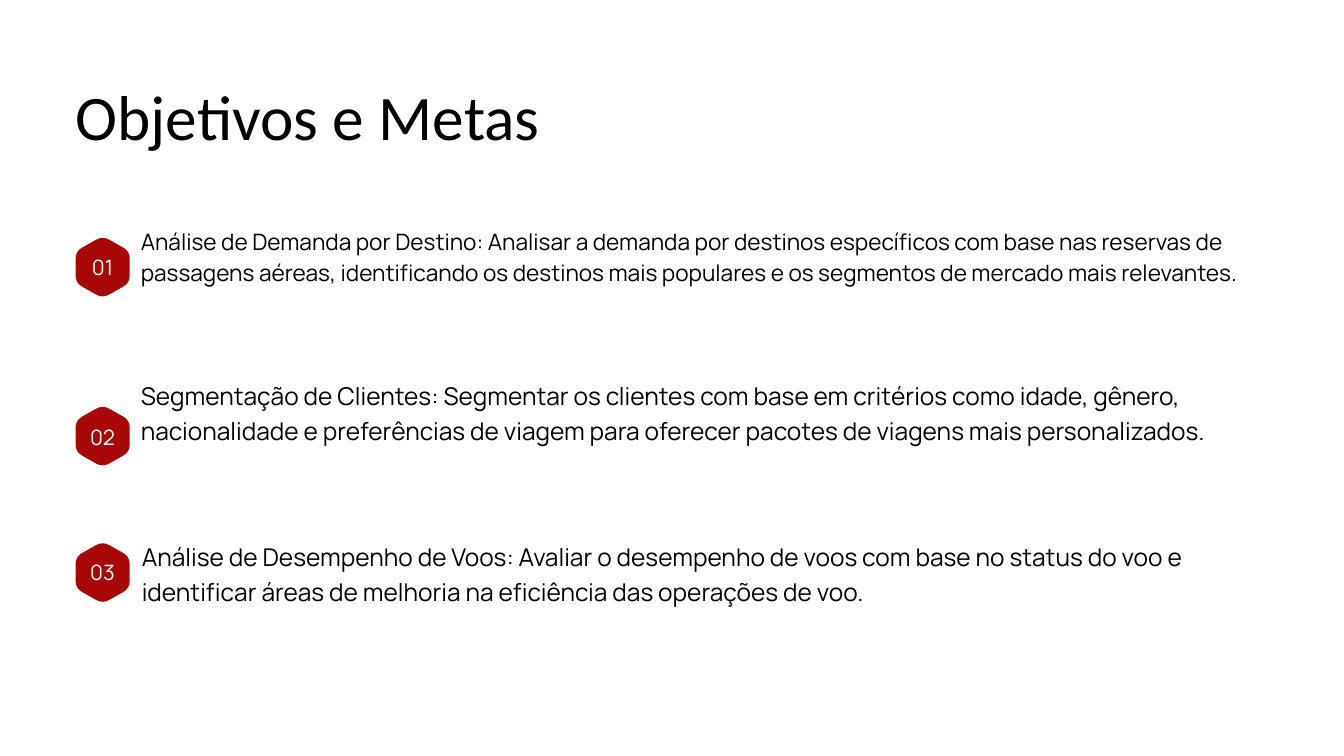
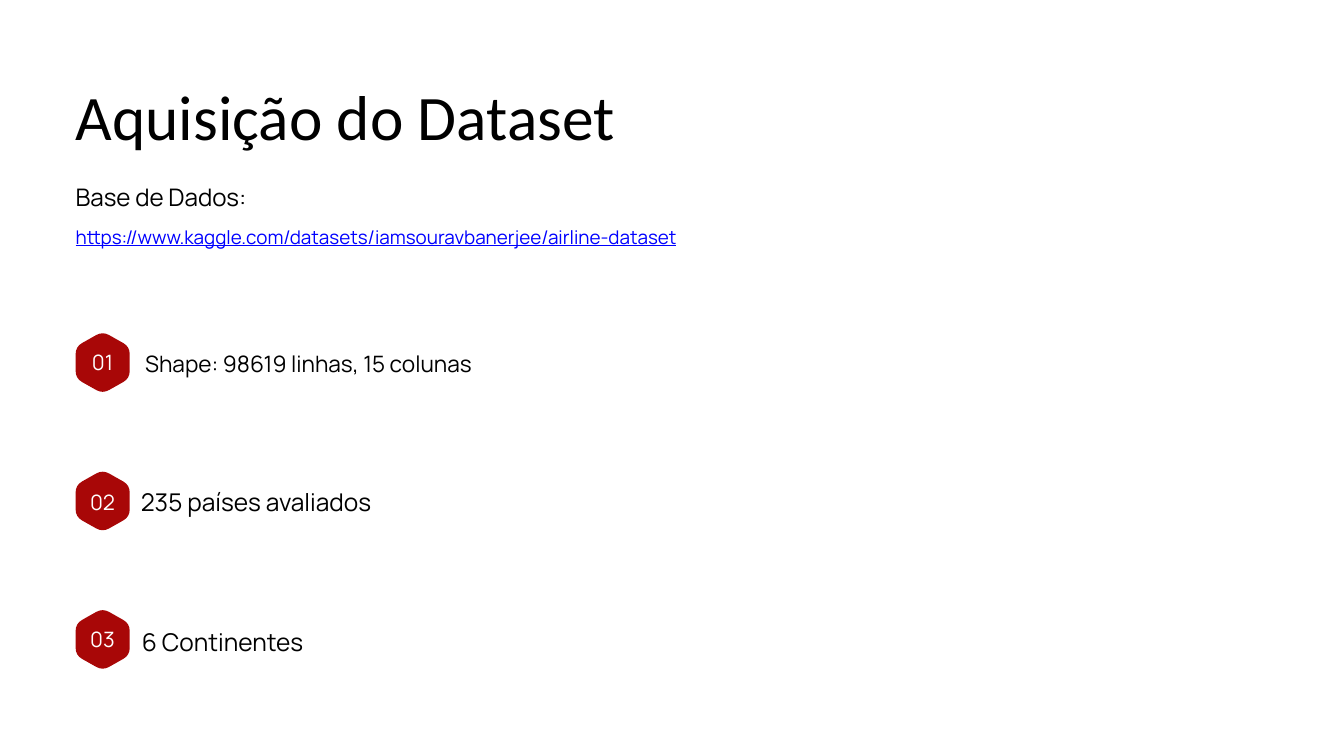
from dataclasses import dataclass

from pptx import Presentation
from pptx.dml.color import RGBColor as Color
from pptx.enum.text import MSO_ANCHOR as Anchor, MSO_AUTO_SIZE as AutoSize, PP_ALIGN as Align
from pptx.oxml.ns import qn
from pptx.oxml.xmlchemy import OxmlElement
from pptx.util import Inches, Pt


@dataclass(frozen=True)
class Theme:
    ink: str = "000000"
    badge: str = "A80707"
    badge_ink: str = "FFFFFF"
    link: str = "0000FF"
    title_font: str = "Calibri"
    body_font: str = "Manrope"
    title_size: float = 67.95
    number_size: float = 22.7
    small_size: float = 24.2
    item_size: float = 26.25
    label_size: float = 25.86
    link_size: float = 20.2
    title_leading: float = 1.26
    body_leading: float = 1.4


@dataclass(frozen=True)
class Box:
    column: float
    row: float
    columns: float
    rows: float

    def within(self, column, row, columns, rows):
        return Box(self.column + column, self.row + row, columns, rows)

    def frame(self):
        return [round(value * UNIT) for value in (self.column, self.row, self.columns, self.rows)]


THEME = Theme()
WIDTH, HEIGHT = Inches(20), Inches(11.25)
UNIT = WIDTH / 160
MARGIN = 9
COMPARISON_LAYOUT = 4
BADGE_COLUMNS, BADGE_ROWS = 6.44, 7.12
NUMBER_ROWS = (1.52, 1.68, 1.52)
HEXAGON = [(0.5, -0.02), (1, 0.235), (1, 0.765), (0.5, 1.02), (0, 0.765), (0, 0.235)]
CORNER_CUT = 0.24


def apply(target, values):
    for name, value in values.items():
        setattr(target, name, value)


def place(shape, box):
    apply(shape, dict(zip(("left", "top", "width", "height"), box.frame())))


def prepare_frame(shape):
    apply(shape.text_frame, {
        "word_wrap": True, "auto_size": AutoSize.NONE, "vertical_anchor": Anchor.TOP,
        "margin_left": 0, "margin_right": 0, "margin_top": 0, "margin_bottom": 0,
    })
    return shape.text_frame


def write(shape, text, size, color=THEME.ink, font=THEME.body_font,
          leading=THEME.body_leading, align=Align.LEFT, underline=False):
    paragraph = prepare_frame(shape).paragraphs[0]
    properties = paragraph._p.get_or_add_pPr()
    properties.set("marL", "0")
    properties.set("indent", "0")
    properties.append(OxmlElement("a:buNone"))
    apply(paragraph, {
        "alignment": align, "line_spacing": Pt(size * leading),
        "space_before": Pt(0), "space_after": Pt(0),
    })
    run = paragraph.add_run()
    run.text = text
    apply(run.font, {"name": font, "size": Pt(size), "bold": False, "underline": underline})
    run.font.color.rgb = Color.from_string(color)


def blend(start, end, share):
    return tuple(a + (b - a) * share for a, b in zip(start, end))


def rounded_corners():
    corners = []
    for index, corner in enumerate(HEXAGON):
        start = blend(corner, HEXAGON[index - 1], CORNER_CUT)
        end = blend(corner, HEXAGON[(index + 1) % len(HEXAGON)], CORNER_CUT)
        corners.append((start, blend(start, corner, 2 / 3), blend(end, corner, 2 / 3), end))
    return corners


def curve_corners(hexagon):
    lines = list(hexagon.element.iter(qn("a:lnTo")))
    for first in range(0, len(lines), 4):
        curve = OxmlElement("a:cubicBezTo")
        lines[first].addprevious(curve)
        for line in lines[first:first + 3]:
            curve.append(line[0])
            line.getparent().remove(line)


def draw_badge(slide, box, number):
    group = slide.shapes.add_group_shape()
    left, top, width, height = box.frame()
    points = [(round(left + x * width), round(top + y * height))
              for corner in rounded_corners() for x, y in corner]
    builder = group.shapes.build_freeform(*points[0])
    builder.add_line_segments(points[1:], close=True)
    hexagon = builder.convert_to_shape()
    curve_corners(hexagon)
    hexagon.shadow.inherit = False
    hexagon.fill.solid()
    hexagon.fill.fore_color.rgb = Color.from_string(THEME.badge)
    hexagon.line.fill.background()
    label = group.shapes.add_textbox(
        *box.within(0.84, NUMBER_ROWS[number - 1], 4.72, 3.44).frame())
    write(label, f"{number:02d}", THEME.number_size, THEME.badge_ink, align=Align.CENTER)


def draw_item(slide, body, number, row, text, size, text_box):
    badge = Box(MARGIN, row, BADGE_COLUMNS, BADGE_ROWS)
    draw_badge(slide, badge, number)
    place(body, badge.within(*text_box))
    write(body, text, size)


def draw_source(slide, body, box, label, address):
    place(body, box.within(0, 0, 28.72, 3.84))
    write(body, label, THEME.label_size)
    link = slide.shapes.add_textbox(*box.within(0, 5.28, box.columns, 3.04).frame())
    write(link, address, THEME.link_size, THEME.link, align=Align.JUSTIFY, underline=True)


def draw_title(slide, box, text):
    title = slide.shapes.title
    place(title, box)
    write(title, text, THEME.title_size, font=THEME.title_font, leading=THEME.title_leading)


def add_list_slide(presentation, title, title_columns, items, source=None):
    slide = presentation.slides.add_slide(presentation.slide_layouts[COMPARISON_LAYOUT])
    draw_title(slide, Box(MARGIN, 8.72, title_columns, 9.28), title)
    bodies = list(slide.placeholders)[1:]
    for number, item in enumerate(items, start=1):
        draw_item(slide, bodies.pop(0), number, *item)
    if source:
        draw_source(slide, bodies.pop(0), Box(MARGIN, 21.12, 88, 8.32), *source)
    for body in bodies:
        body.element.getparent().remove(body.element)


def main():
    presentation = Presentation()
    apply(presentation, {"slide_width": WIDTH, "slide_height": HEIGHT})
    add_list_slide(presentation, "Objetivos e Metas", 60.08, [
        (28.24, "Análise de Demanda por Destino: Analisar a demanda por destinos específicos "
         "com base nas reservas de passagens aéreas, identificando os destinos mais populares "
         "e os segmentos de mercado mais relevantes.",
         THEME.small_size, (7.76, -1.68, 134.24, 14.88)),
        (48.36, "Segmentação de Clientes: Segmentar os clientes com base em critérios como "
         "idade, gênero, nacionalidade e preferências de viagem para oferecer pacotes de "
         "viagens mais personalizados.",
         THEME.item_size, (7.76, -3.56, 134.24, 15.84)),
        (64.6, "Análise de Desempenho de Voos: Avaliar o desempenho de voos com base no "
         "status do voo e identificar áreas de melhoria na eficiência das operações de voo.",
         THEME.item_size, (7.88, -0.6, 136.24, 11.84)),
    ])
    first_row, pitch = 39.6, 16.48
    facts = [
        ("Shape: 98619 linhas, 15 colunas", THEME.small_size, (8.28, 1.52, 48, 3.68)),
        ("235 países avaliados", THEME.item_size, (7.76, 1.28, 40.56, 3.84)),
        ("6 Continentes", THEME.item_size, (7.88, 1.52, 26.72, 3.84)),
    ]
    add_list_slide(
        presentation, "Aquisição do Dataset", 77.28,
        [(first_row + index * pitch, *fact) for index, fact in enumerate(facts)],
        ("Base de Dados:", "https://www.kaggle.com/datasets/iamsouravbanerjee/airline-dataset"),
    )
    presentation.save("out.pptx")


if __name__ == "__main__":
    main()
